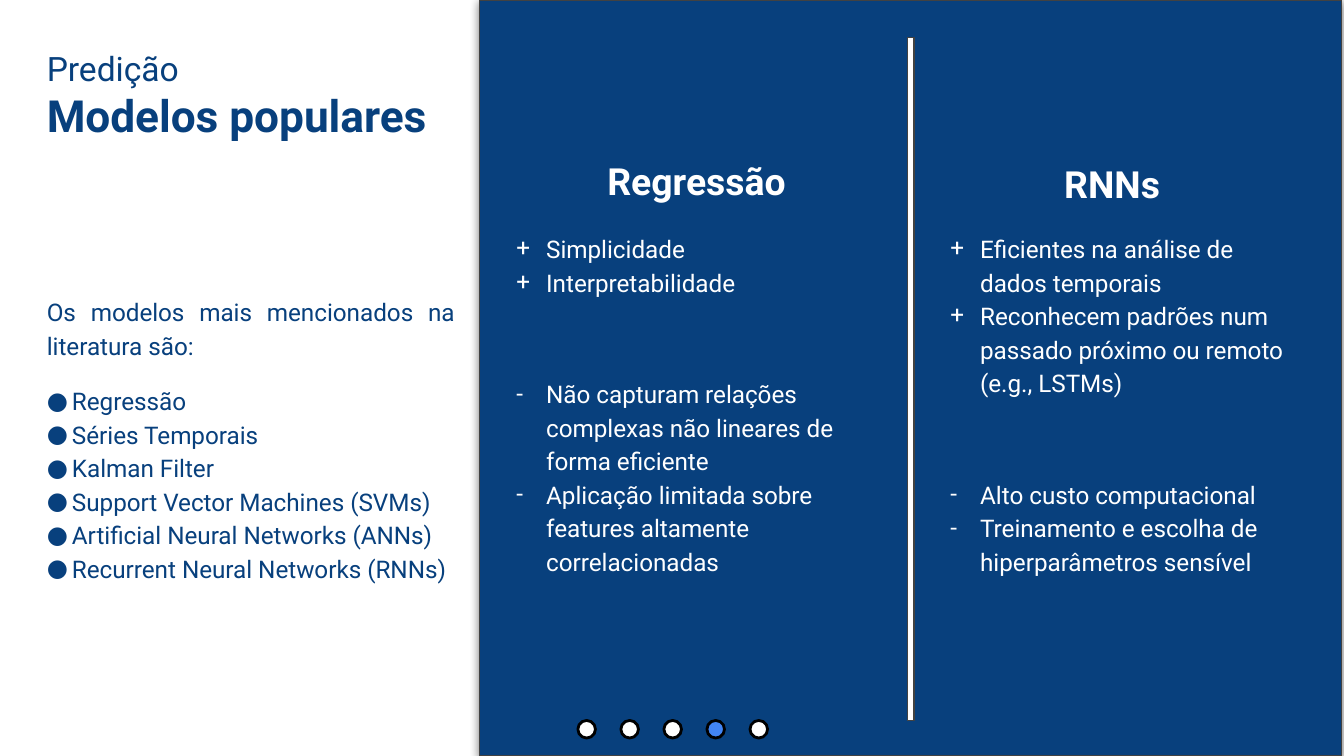
from dataclasses import dataclass

from lxml import etree
from pptx import Presentation
from pptx.dml.color import RGBColor
from pptx.enum.shapes import MSO_SHAPE
from pptx.enum.text import MSO_ANCHOR, PP_ALIGN
from pptx.oxml.ns import qn
from pptx.util import Pt

RECTANGLE, OVAL = MSO_SHAPE.RECTANGLE, MSO_SHAPE.OVAL
TOP, MIDDLE, BOTTOM = MSO_ANCHOR.TOP, MSO_ANCHOR.MIDDLE, MSO_ANCHOR.BOTTOM
LEFT, CENTER, JUSTIFY = PP_ALIGN.LEFT, PP_ALIGN.CENTER, PP_ALIGN.JUSTIFY

COLORS = {
    "navy": "08407D",
    "white": "FFFFFF",
    "backdrop": "FAFAFA",
    "outline": "424242",
    "black": "000000",
    "current": "4285F4",
}
FONT = "Roboto"
BODY_SIZE = 13
BODY_SPACING = 1.15
SLIDE_WIDTH, SLIDE_HEIGHT = 720, 405
DOT_COUNT, CURRENT_DOT = 5, 3
DOT_LEFT, DOT_TOP, DOT_SIZE, DOT_PITCH = 309.6, 386, 9.4, 23.05


@dataclass(frozen=True)
class Box:
    left: float
    top: float
    width: float
    height: float

    def lengths(self) -> list:
        return [Pt(v) for v in (self.left, self.top, self.width, self.height)]


@dataclass(frozen=True)
class Line:
    text: str
    size: float = BODY_SIZE
    bold: bool = False
    align: PP_ALIGN = LEFT
    spacing: float = BODY_SPACING
    before: float = 0
    bullet: str = ""
    margin: float = 27


@dataclass(frozen=True)
class ModelColumn:
    name: str
    title_box: Box
    points_box: Box
    strengths: tuple
    weaknesses: tuple


MODELS = (
    "Regressão",
    "Séries Temporais",
    "Kalman Filter",
    "Support Vector Machines (SVMs)",
    "Artificial Neural Networks (ANNs)",
    "Recurrent Neural Networks (RNNs)",
)
COLUMNS = (
    ModelColumn(
        "Regressão",
        Box(257, 18.7, 232.5, 97.2),
        Box(258.5, 116, 229, 302),
        ("Simplicidade", "Interpretabilidade"),
        (
            "Não capturam relações complexas não lineares de forma eficiente",
            "Aplicação limitada sobre features altamente correlacionadas",
        ),
    ),
    ModelColumn(
        "RNNs",
        Box(489.6, 20.2, 212.4, 97.2),
        Box(491, 116, 212.4, 270),
        (
            "Eficientes na análise de dados temporais",
            "Reconhecem padrões num passado próximo ou remoto (e.g., LSTMs)",
        ),
        (
            "Alto custo computacional",
            "Treinamento e escolha de hiperparâmetros sensível",
        ),
    ),
)


def rgb(color: str) -> RGBColor:
    return RGBColor.from_string(COLORS[color])


def add_bullet(paragraph, line: Line, color: str) -> None:
    properties = paragraph._p.get_or_add_pPr()
    properties.set("marL", str(Pt(line.margin)))
    properties.set("indent", str(Pt(-16)))
    bullet_color = etree.SubElement(properties, qn("a:buClr"))
    etree.SubElement(bullet_color, qn("a:srgbClr"), val=COLORS[color])
    etree.SubElement(properties, qn("a:buFont"), typeface=FONT)
    etree.SubElement(properties, qn("a:buChar"), char=line.bullet)


def add_text(shapes, box: Box, lines: list[Line], color: str, anchor: MSO_ANCHOR = TOP) -> None:
    frame = shapes.add_textbox(*box.lengths()).text_frame
    frame.word_wrap = True
    frame.vertical_anchor = anchor
    frame.margin_left = frame.margin_right = Pt(7.2)
    frame.margin_top = frame.margin_bottom = Pt(7.2)
    for index, line in enumerate(lines):
        paragraph = frame.add_paragraph() if index else frame.paragraphs[0]
        paragraph.alignment = line.align
        paragraph.line_spacing = line.spacing
        paragraph.space_before = Pt(line.before)
        if line.bullet:
            add_bullet(paragraph, line, color)
        run = paragraph.add_run()
        run.text = line.text
        run.font.name = FONT
        run.font.size = Pt(line.size)
        run.font.bold = line.bold
        run.font.color.rgb = rgb(color)


def add_filled(shapes, kind: MSO_SHAPE, box: Box, fill: str, outline: str = "", weight: float = 0.75):
    shape = shapes.add_shape(kind, *box.lengths())
    shape.shadow.inherit = False
    shape.fill.solid()
    shape.fill.fore_color.rgb = rgb(fill)
    if outline:
        shape.line.color.rgb = rgb(outline)
        shape.line.width = Pt(weight)
    else:
        shape.line.fill.background()
    return shape


def add_soft_shadow(shape) -> None:
    effects = shape._element.spPr.find(qn("a:effectLst"))
    shadow = etree.SubElement(
        effects, qn("a:outerShdw"), blurRad=str(Pt(4.5)), dist=str(Pt(1.5)),
        dir="5400000", algn="bl", rotWithShape="0",
    )
    shadow_color = etree.SubElement(shadow, qn("a:srgbClr"), val=COLORS["black"])
    etree.SubElement(shadow_color, qn("a:alpha"), val="50000")


def add_model_column(shapes, column: ModelColumn) -> None:
    title = Line(column.name, size=20, bold=True, align=CENTER, spacing=1)
    add_text(shapes, column.title_box, [title], "white", BOTTOM)
    points = [Line(text, bullet="+") for text in column.strengths]
    points += [
        Line(text, bullet="-", before=0 if index else 42)
        for index, text in enumerate(column.weaknesses)
    ]
    add_text(shapes, column.points_box, points, "white")


def add_progress_dots(shapes) -> None:
    dots = shapes.add_group_shape().shapes
    for index in range(DOT_COUNT):
        box = Box(DOT_LEFT + index * DOT_PITCH, DOT_TOP, DOT_SIZE, DOT_SIZE)
        fill = "current" if index == CURRENT_DOT else "white"
        add_filled(dots, OVAL, box, fill, "black", 1.5)


def main() -> None:
    deck = Presentation()
    deck.slide_width, deck.slide_height = Pt(SLIDE_WIDTH), Pt(SLIDE_HEIGHT)
    shapes = deck.slides.add_slide(deck.slide_layouts[6]).shapes

    add_filled(shapes, RECTANGLE, Box(258, 0, 462, SLIDE_HEIGHT), "backdrop")
    heading = [
        Line("Predição", size=18, spacing=1),
        Line("Modelos populares", size=23.7, bold=True, spacing=1),
    ]
    add_text(shapes, Box(18, 18.7, 221, 64.8), heading, "navy")
    overview = [Line("Os modelos mais mencionados na literatura são:", align=JUSTIFY)]
    overview += [
        Line(model, align=JUSTIFY, before=0 if index else 12, bullet="●", margin=13.5)
        for index, model in enumerate(MODELS)
    ]
    add_text(shapes, Box(18, 83.5, 232.5, 302.4), overview, "navy", MIDDLE)

    panel = add_filled(shapes, RECTANGLE, Box(257, 0, 461.7, SLIDE_HEIGHT), "navy", "outline")
    add_soft_shadow(panel)
    add_filled(shapes, RECTANGLE, Box(486, 20.2, 3.6, 365.8), "white", "outline")
    for column in COLUMNS:
        add_model_column(shapes, column)
    add_progress_dots(shapes)
    deck.save("out.pptx")


if __name__ == "__main__":
    main()
